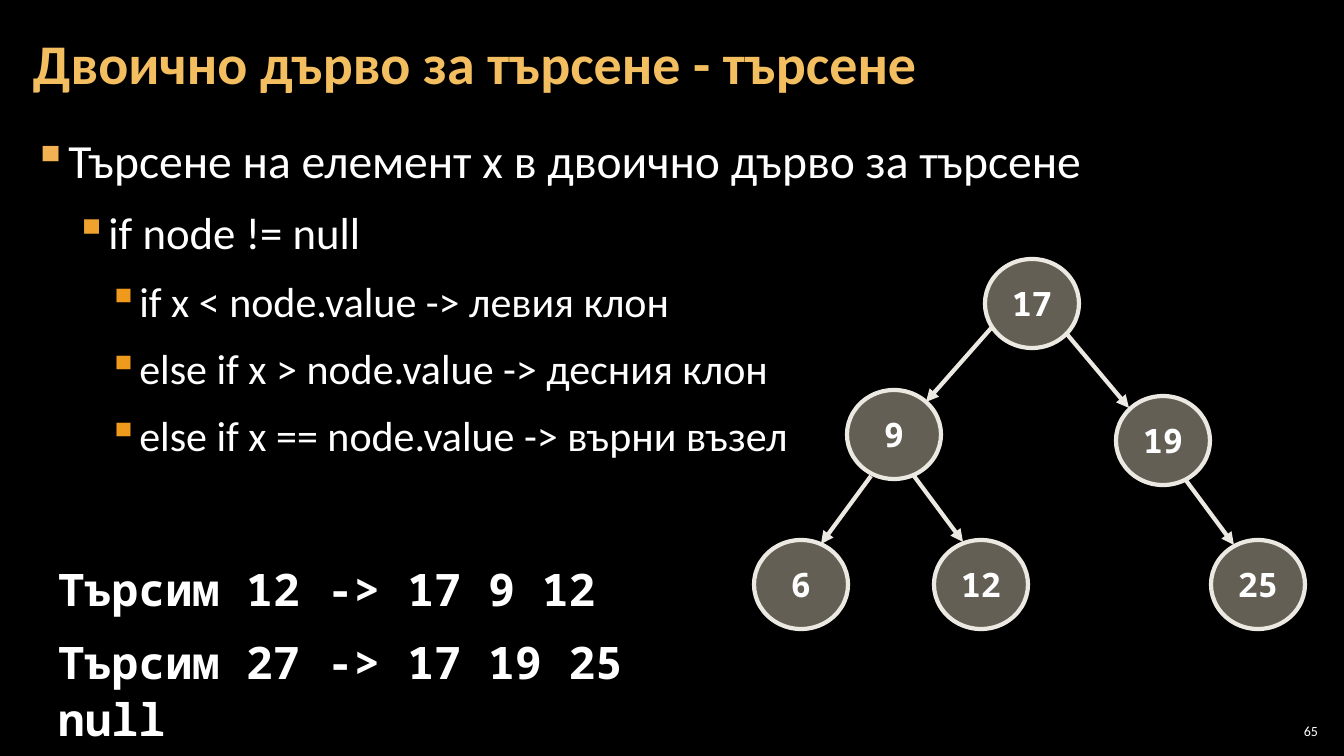
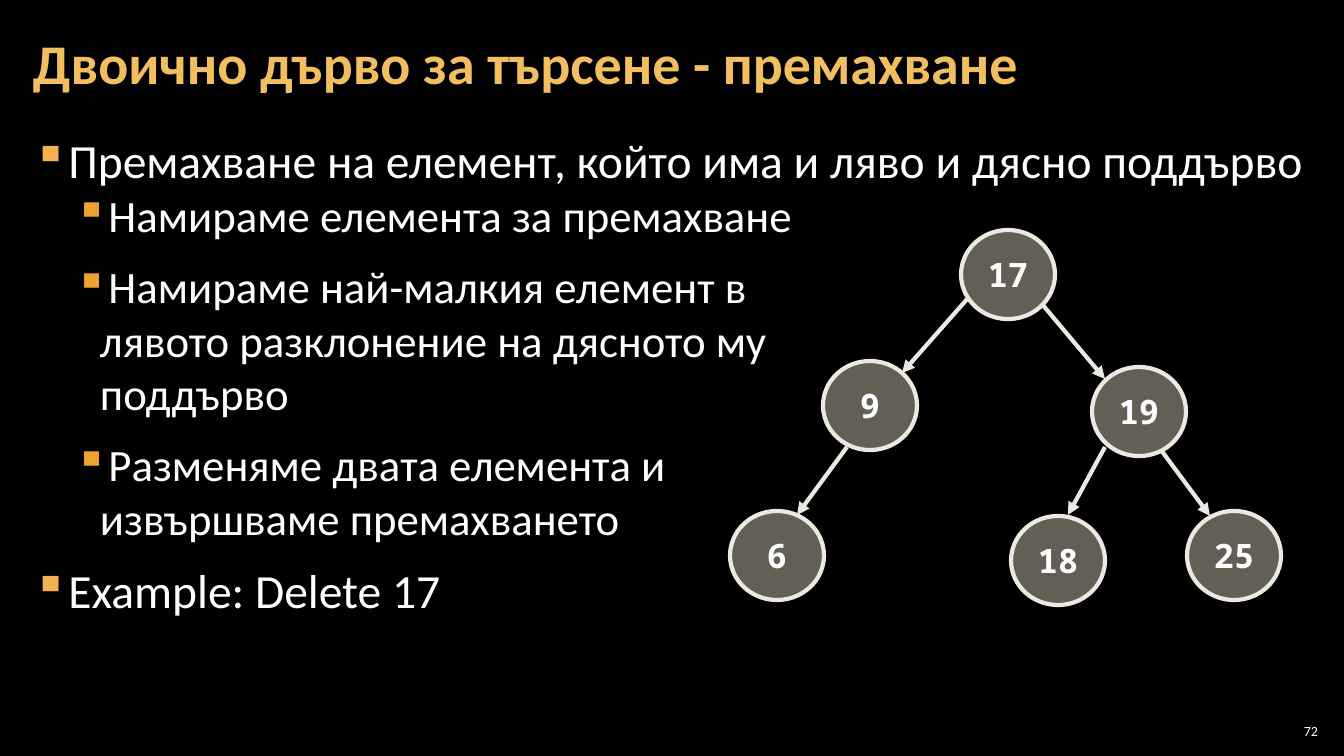
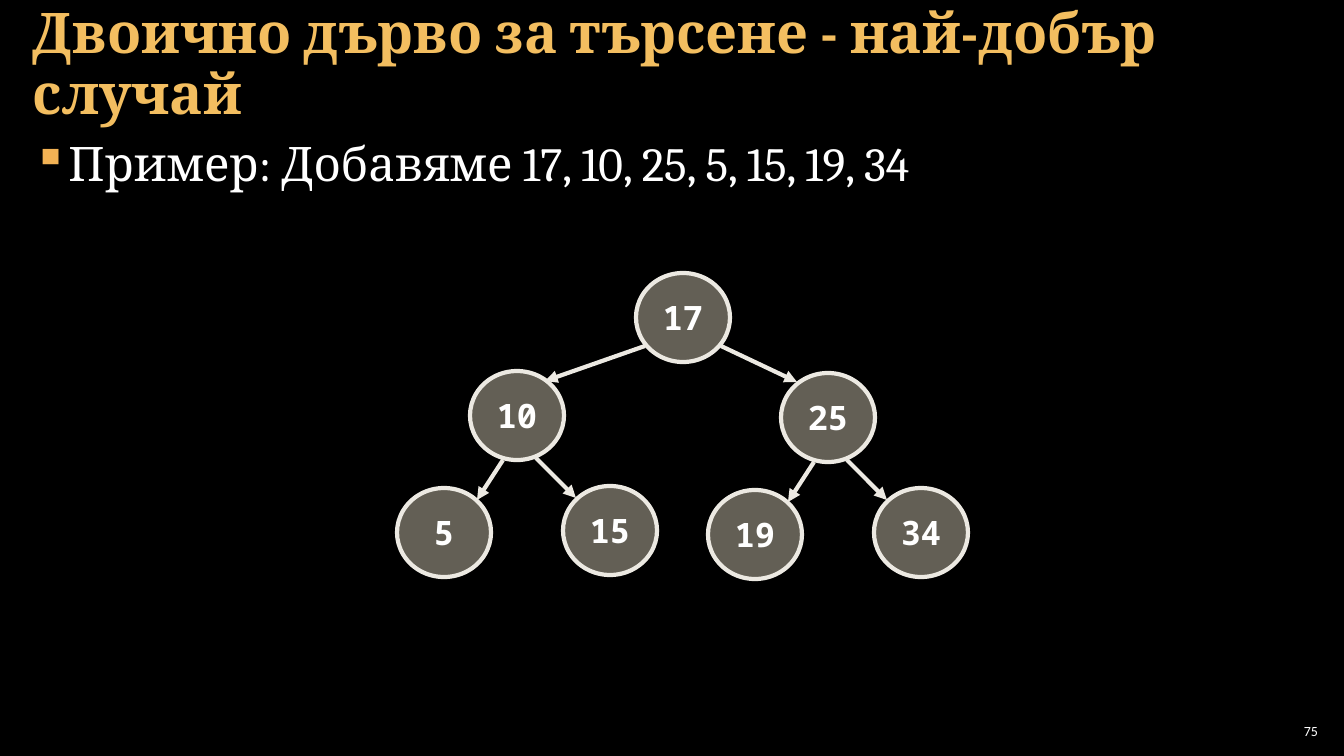
import pptx
import pptx.dml.color
import pptx.enum.shapes
import pptx.enum.text
import pptx.oxml.ns
import pptx.util
from lxml import etree

RGBColor = pptx.dml.color.RGBColor
ALIGN = pptx.enum.text.PP_ALIGN
ANCHOR = pptx.enum.text.MSO_ANCHOR
qn = pptx.oxml.ns.qn

WIDTH, HEIGHT = 1344, 756
EMU_PER_PX = 12192000 / WIDTH
NODE_WIDTH, NODE_HEIGHT = 94, 89

BLACK = RGBColor(0x00, 0x00, 0x00)
WHITE = RGBColor(0xFF, 0xFF, 0xFF)
GOLD = RGBColor(0xF3, 0xBE, 0x60)
NODE_FILL = RGBColor(0xC6, 0xBE, 0xAB)
NODE_LINE = RGBColor(0xEC, 0xE9, 0xE2)

SANS, SERIF, MONO = "Calibri", "Cambria", "Noto Sans Mono"

# Per outline level: size in points, left margin and hanging indent in px, bullet colour
LEVELS = (
    (34, 33, 33, RGBColor(0xF2, 0xB2, 0x54)),
    (32, 67, 25, RGBColor(0xF0, 0xA2, 0x2E)),
    (30, 101, 26, RGBColor(0xEF, 0x9A, 0x1D)),
)


def px(length):
    return pptx.util.Emu(round(length * EMU_PER_PX))


def shifted(points, dx, dy):
    """Move every coordinate pair of each tuple by the same distance."""
    return [tuple(value + (dx, dy)[i % 2] for i, value in enumerate(point)) for point in points]


def write(paragraph, text, size=24, font=SANS, color=WHITE, bold=False,
          align=ALIGN.LEFT, spacing=1.0, before=0):
    paragraph.text = text
    paragraph.alignment = align
    paragraph.line_spacing = spacing
    paragraph.space_before = pptx.util.Pt(before)
    for run in paragraph.runs:
        run.font.size = pptx.util.Pt(size)
        run.font.name = font
        run.font.bold = bold
        run.font.color.rgb = color


def add_bullet(paragraph, level):
    _, margin, hanging, color = LEVELS[level]
    paragraph.level = level
    properties = paragraph._p.get_or_add_pPr()
    properties.set("marL", str(px(margin)))
    properties.set("indent", str(-px(hanging)))
    bullet_color = etree.SubElement(properties, qn("a:buClr"))
    etree.SubElement(bullet_color, qn("a:srgbClr")).set("val", str(color))
    etree.SubElement(properties, qn("a:buChar")).set("char", "▪")


class Deck:
    def __init__(self):
        self.presentation = pptx.Presentation()
        self.presentation.slide_width = px(WIDTH)
        self.presentation.slide_height = px(HEIGHT)
        background = self.presentation.slide_master.background.fill
        background.solid()
        background.fore_color.rgb = BLACK
        self.slide = None

    def start_slide(self, title, number, font=SANS, title_width=1055):
        layout = self.presentation.slide_layouts[5]
        self.slide = self.presentation.slides.add_slide(layout)
        heading = self.slide.shapes.title
        heading.left, heading.top = px(21), px(5)
        heading.width, heading.height = px(title_width), px(122)
        frame = self.prepare(heading, 12, 4, ANCHOR.MIDDLE)
        write(frame.paragraphs[0], title, size=40, font=font, color=GOLD, bold=True, spacing=0.9)
        frame = self.text_box(1275, 720, 47, 21, 4, 4, ANCHOR.MIDDLE)
        write(frame.paragraphs[0], str(number), size=10, align=ALIGN.RIGHT)

    def prepare(self, shape, inset_x, inset_y, anchor=ANCHOR.TOP):
        """Set wrapping, insets and anchor, and return the text frame."""
        frame = shape.text_frame
        frame.word_wrap = True
        frame.auto_size = pptx.enum.text.MSO_AUTO_SIZE.NONE
        frame.vertical_anchor = anchor
        frame.margin_left = frame.margin_right = px(inset_x)
        frame.margin_top = frame.margin_bottom = px(inset_y)
        return frame

    def text_box(self, left, top, width, height, inset_x, inset_y, anchor=ANCHOR.TOP):
        box = self.slide.shapes.add_textbox(px(left), px(top), px(width), px(height))
        return self.prepare(box, inset_x, inset_y, anchor)

    def outline(self, items, font=SANS, spacing=1.0):
        """Write bullets given as (level, space before, text)."""
        frame = self.text_box(21, 127, 1301, 614, 12, 4)
        for i, (level, before, text) in enumerate(items):
            paragraph = frame.add_paragraph() if i else frame.paragraphs[0]
            add_bullet(paragraph, level)
            write(paragraph, text, size=LEVELS[level][0], font=font,
                  spacing=spacing, before=before)

    def search_log(self, lines):
        frame = self.text_box(48, 554, 691, 141, 10, 5)
        for i, line in enumerate(lines):
            paragraph = frame.add_paragraph() if i else frame.paragraphs[0]
            write(paragraph, line, size=32, font=MONO, bold=True,
                  spacing=1.05, before=12 if i else 0)

    def node(self, value, left, top):
        circle = self.slide.shapes.add_shape(
            pptx.enum.shapes.MSO_SHAPE.OVAL, px(left), px(top), px(NODE_WIDTH), px(NODE_HEIGHT))
        circle.shadow.inherit = False
        circle.fill.solid()
        circle.fill.fore_color.rgb = NODE_FILL
        color = circle._element.spPr.find(qn("a:solidFill"))[0]
        etree.SubElement(color, qn("a:alpha")).set("val", "50000")
        circle.line.color.rgb = NODE_LINE
        circle.line.width = pptx.util.Pt(3)
        frame = self.prepare(circle, 10, 5, ANCHOR.MIDDLE)
        write(frame.paragraphs[0], str(value), font=MONO, bold=True, align=ALIGN.CENTER)

    def arrow(self, x1, y1, x2, y2):
        branch = self.slide.shapes.add_connector(
            pptx.enum.shapes.MSO_CONNECTOR.STRAIGHT, px(x1), px(y1), px(x2), px(y2))
        branch.line.color.rgb = NODE_LINE
        branch.line.width = pptx.util.Pt(3)
        etree.SubElement(branch.line._get_or_add_ln(), qn("a:tailEnd")).set("type", "triangle")
        etree.SubElement(branch._element.spPr, qn("a:effectLst"))

    def tree(self, values, places, branches):
        for value, place in zip(values, places):
            self.node(value, *place)
        for branch in branches:
            self.arrow(*branch)


# Places of 17, 19, 9, 6 and 25, and the branches between them
SEARCH_PLACES = [(985, 259), (1116, 396), (847, 390), (754, 540), (1211, 540)]
SEARCH_BRANCHES = [
    (993, 326, 926, 402), (1066, 333, 1129, 408),
    (871, 476, 821, 544), (1185, 479, 1234, 545),
]


def search_slide(deck):
    deck.start_slide("Двоично дърво за търсене - търсене", 65)
    deck.outline([
        (0, 0, "Търсене на елемент x в двоично дърво за търсене"),
        (1, 12, "if node != null"),
        (2, 12, "if x < node.value -> левия клон"),
        (2, 12, "else if x > node.value -> десния клон"),
        (2, 12, "else if x == node.value -> върни възел"),
    ])
    deck.tree((17, 19, 9, 6, 25, 12), SEARCH_PLACES + [(934, 540)],
              SEARCH_BRANCHES + [(914, 476, 963, 542)])
    deck.search_log(["Търсим 12 -> 17 9 12", "Търсим 27 -> 17 19 25 null"])


def removal_slide(deck):
    deck.start_slide("Двоично дърво за търсене - премахване", 72)
    deck.outline([
        (0, 0, "Премахване на елемент, който има и ляво и дясно поддърво"),
        (1, 0, "Намираме елемента за премахване"),
        (1, 12, "Намираме най-малкия елемент в\vлявото разклонение на дясното му\vподдърво"),
        (1, 12, "Разменяме двата елемента и\vизвършваме премахването"),
        (0, 12, "Example: Delete 17"),
    ])
    deck.tree((17, 19, 9, 6, 25, 18), shifted(SEARCH_PLACES, -24, -29) + [(1011, 516)],
              shifted(SEARCH_BRANCHES, -24, -29) + [(1105, 447, 1068, 515)])


def best_case_slide(deck):
    deck.start_slide("Двоично дърво за търсене - най-добър случай", 75,
                     font=SERIF, title_width=1301)
    deck.outline([(0, 0, "Пример: Добавяме 17, 10, 25, 5, 15, 19, 34")],
                 font=SERIF, spacing=1.05)
    deck.tree((17,), [(636, 273)], [(645, 346, 545, 381), (721, 346, 797, 382)])
    subtree_places = [(470, 371), (397, 488), (563, 486)]
    subtree_branches = [(503, 460, 477, 500), (536, 458, 576, 498)]
    for values, dx, dy in (((10, 5, 15), 0, 0), ((25, 19, 34), 311, 2)):
        deck.tree(values, shifted(subtree_places, dx, dy), shifted(subtree_branches, dx, dy))


def main():
    deck = Deck()
    search_slide(deck)
    removal_slide(deck)
    best_case_slide(deck)
    deck.presentation.save("out.pptx")


if __name__ == "__main__":
    main()
